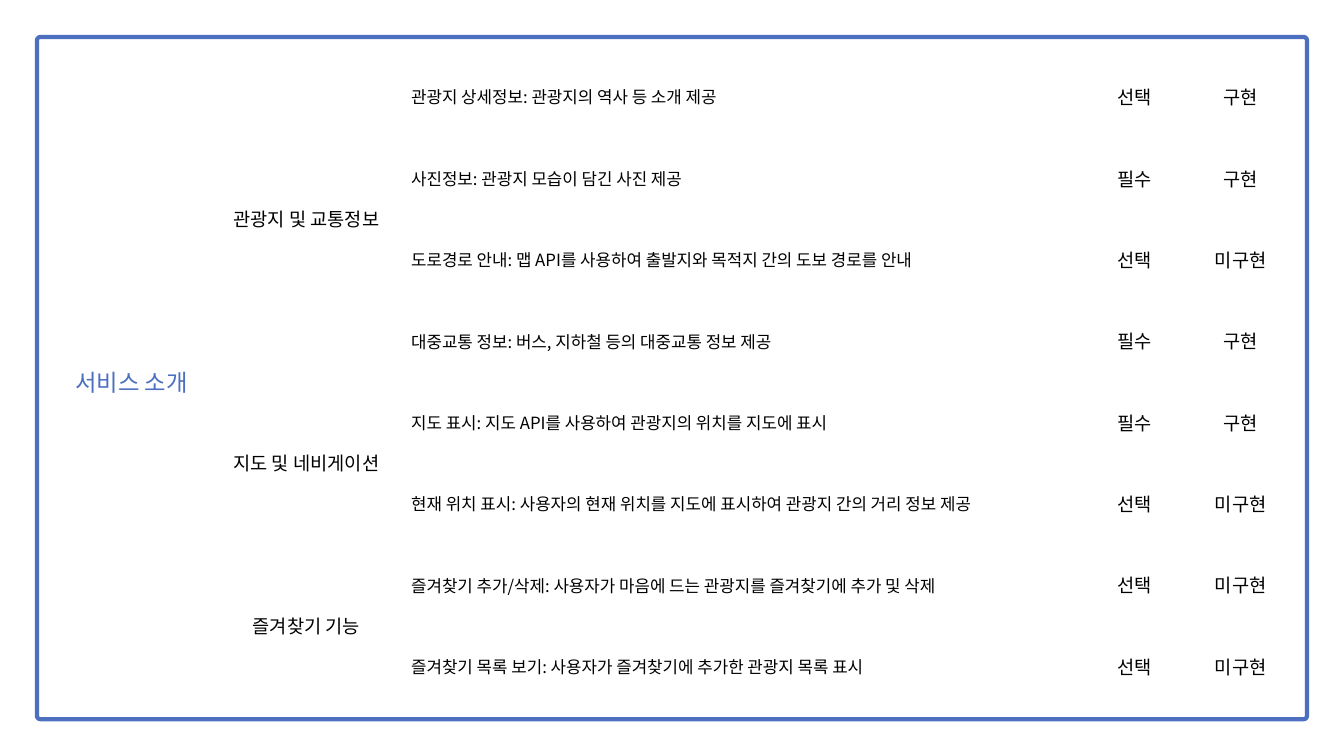
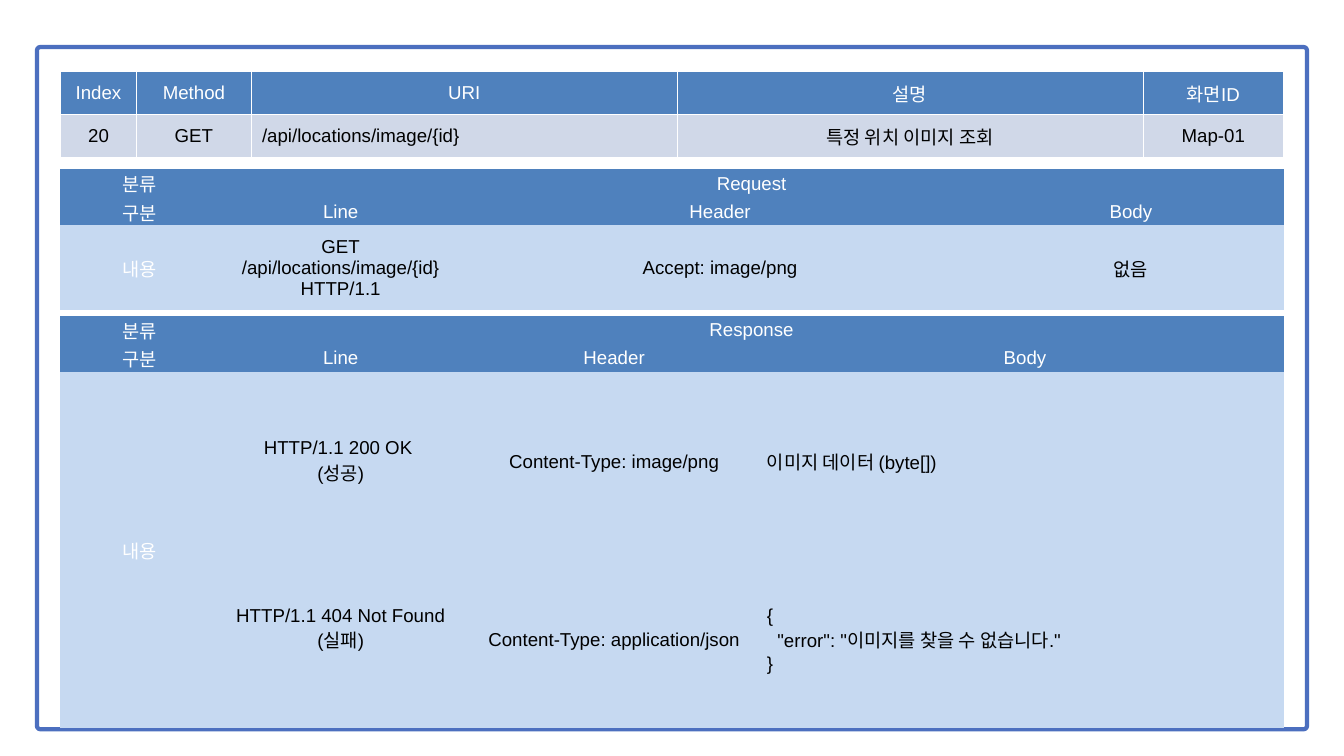
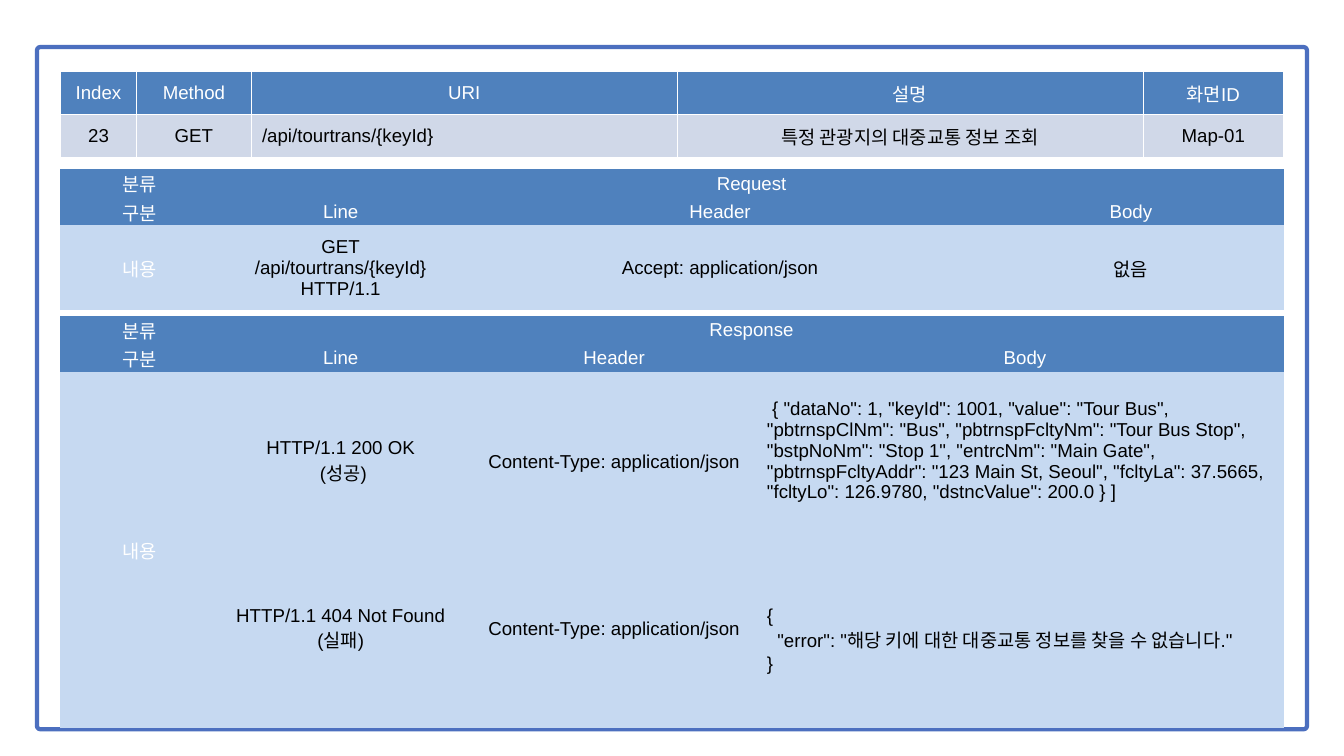
from lxml import etree
from pptx import Presentation
from pptx.dml.color import RGBColor
from pptx.enum.shapes import MSO_SHAPE
from pptx.enum.text import MSO_ANCHOR, PP_ALIGN
from pptx.oxml.ns import qn
from pptx.util import Pt

ROUND = MSO_SHAPE.ROUNDED_RECTANGLE
MIDDLE = MSO_ANCHOR.MIDDLE
LEFT, CENTER = PP_ALIGN.LEFT, PP_ALIGN.CENTER

BLUE, HEAD, PALE, GREY = "4C6FBF", "4F81BD", "C6D9F1", "D0D8E8"
WHITE, BLACK = "FFFFFF", "000000"
LATIN, KOREAN = "Arial", "Noto Sans CJK KR"
PLAIN_STYLE = "{2D5ABB26-0587-4C30-8999-92F81FD0307C}"

WIDE, HIGH = 1440, 810
FRAME_W, FRAME_H = 1360.8, 731
THIN = (1, 1, 1, 0)
ROOMY = (11.5, 5.8, 11.5, 5.8)
USUAL = (7.2, 3.6, 7.2, 3.6)
LINE = 23

SERVICES = [
    ("관광지 및 교통정보", [
        ("관광지 상세정보: 관광지의 역사 등 소개 제공", "선택", "구현"),
        ("사진정보: 관광지 모습이 담긴 사진 제공", "필수", "구현"),
        ("도로경로 안내: 맵 API를 사용하여 출발지와 목적지 간의 도보 경로를 안내", "선택", "미구현"),
        ("대중교통 정보: 버스, 지하철 등의 대중교통 정보 제공", "필수", "구현"),
    ]),
    ("지도 및 네비게이션", [
        ("지도 표시: 지도 API를 사용하여 관광지의 위치를 지도에 표시", "필수", "구현"),
        ("현재 위치 표시: 사용자의 현재 위치를 지도에 표시하여 관광지 간의 거리 정보 제공", "선택", "미구현"),
    ]),
    ("즐겨찾기 기능", [
        ("즐겨찾기 추가/삭제: 사용자가 마음에 드는 관광지를 즐겨찾기에 추가 및 삭제", "선택", "미구현"),
        ("즐겨찾기 목록 보기: 사용자가 즐겨찾기에 추가한 관광지 목록 표시", "선택", "미구현"),
    ]),
]

JSON = "application/json"
APIS = [
    dict(index="20", uri="/api/locations/image/{id}", about="특정 위치 이미지 조회",
         accept="image/png", good="HTTP/1.1 200 OK \n(성공)",
         body="이미지 데이터 (byte[])", error="이미지를 찾을 수 없습니다.", low=[(3, 1)]),
    dict(index="23", uri="/api/tourtrans/{keyId}", about="특정 관광지의 대중교통 정보 조회",
         accept=JSON, good="HTTP/1.1 200 OK\n (성공)",
         body=' { "dataNo": 1, "keyId": 1001, "value": "Tour Bus", "pbtrnspClNm": "Bus", '
              '"pbtrnspFcltyNm": "Tour Bus Stop", "bstpNoNm": "Stop 1", '
              '"entrcNm": "Main Gate", "pbtrnspFcltyAddr": "123 Main St, Seoul", '
              '"fcltyLa": 37.5665, "fcltyLo": 126.9780, "dstncValue": 200.0 } ]',
         error="해당 키에 대한 대중교통 정보를 찾을 수 없습니다.",
         low=[(2, 3), (3, 1), (3, 2)]),
]


def rgb(code):
    return RGBColor.from_string(code)


def write(cell, text, size=20, face=LATIN, color=BLACK, align=CENTER):
    """Fill a cell, one paragraph per line of text."""
    frame = cell.text_frame
    for i, line in enumerate(text.split("\n")):
        para = frame.add_paragraph() if i else frame.paragraphs[0]
        para.alignment = align
        run = para.add_run()
        run.text = line
        font = run.font
        font.size, font.name = Pt(size), face
        font.color.rgb = rgb(color)
        etree.SubElement(run._r.get_or_add_rPr(), qn("a:ea"), typeface=KOREAN)


def inset(cell, left, top, right, bottom):
    cell.margin_left, cell.margin_top = Pt(left), Pt(top)
    cell.margin_right, cell.margin_bottom = Pt(right), Pt(bottom)


def outline(cell, color, width):
    props = cell._tc.get_or_add_tcPr()
    for i, side in enumerate("LRTB"):
        edge = etree.Element(qn(f"a:ln{side}"), w=str(Pt(width)))
        fill = etree.SubElement(edge, qn("a:solidFill"))
        etree.SubElement(fill, qn("a:srgbClr"), val=color)
        props.insert(i, edge)


def add_grid(slide, left, top, cols, rows, pad):
    """Add an unstyled table with the given column widths and row heights."""
    shape = slide.shapes.add_table(len(rows), len(cols), Pt(left), Pt(top),
                                   Pt(sum(cols)), Pt(sum(rows)))
    table = shape.table
    table.first_row = table.horz_banding = False
    table._tbl.tblPr.find(qn("a:tableStyleId")).text = PLAIN_STYLE
    for col, width in zip(table.columns, cols):
        col.width = Pt(width)
    for row, height in zip(table.rows, rows):
        row.height = Pt(height)
    for cell in table.iter_cells():
        cell.vertical_anchor = MIDDLE
        inset(cell, *pad)
    return table


def fill_grid(table, texts, heads, pale, lefts=()):
    """Write rows of text; the first `heads` rows are dark, None is spanned."""
    for r, row in enumerate(texts):
        for c, text in enumerate(row):
            cell = table.cell(r, c)
            cell.fill.solid()
            cell.fill.fore_color.rgb = rgb(HEAD if r < heads else pale)
            if text is not None:
                white = r < heads or text == "내용"
                write(cell, text, color=WHITE if white else BLACK,
                      align=LEFT if (r, c) in lefts else CENTER)


def add_frame(slide, left, top):
    box = slide.shapes.add_shape(ROUND, Pt(left), Pt(top), Pt(FRAME_W), Pt(FRAME_H))
    box.adjustments[0] = 0.005
    box.shadow.inherit = False
    box.fill.solid()
    box.fill.fore_color.rgb = rgb(WHITE)
    box.line.color.rgb = rgb(BLUE)
    box.line.width = Pt(4.5)


def service_slide(slide, left, top):
    add_frame(slide, left, top)
    count = sum(len(items) for _, items in SERVICES)
    table = add_grid(slide, left + 18.7, top + 20.2,
                     [165, 210, 720, 124.5, 103], [87.2] * count, USUAL)
    table.cell(0, 0).merge(table.cell(count - 1, 0))
    write(table.cell(0, 0), "서비스 소개", 25, KOREAN, BLUE)
    r = 0
    for group, items in SERVICES:
        table.cell(r, 1).merge(table.cell(r + len(items) - 1, 1))
        write(table.cell(r, 1), group, face=KOREAN)
        for text, need, state in items:
            write(table.cell(r, 2), text, 18, KOREAN, align=LEFT)
            write(table.cell(r, 3), need, face=KOREAN)
            write(table.cell(r, 4), state, face=KOREAN)
            r += 1


def message_grid(slide, left, top, name, cols, rows, content, lefts=()):
    """Add a request or response table with its two heading rows."""
    table = add_grid(slide, left, top, cols, rows, THIN)
    table.cell(0, 1).merge(table.cell(0, 3))
    texts = [("분류", name, None, None), ("구분", "Line", "Header", "Body")]
    fill_grid(table, texts + content, 2, PALE, lefts)
    return table


def api_slide(slide, left, top, api):
    add_frame(slide, left, top)
    left += 25.2
    message_grid(slide, left, top + 131, "Request",
                 [170, 260.5, 552.5, 328], [18, 16.5, 90.7],
                 [("내용", f"GET\n{api['uri']} HTTP/1.1", f"Accept: {api['accept']}", "없음")])

    error = f'{{\n  "error": "{api["error"]}"\n}}'
    reply = message_grid(
        slide, left, top + 288, "Response",
        [170, 260.5, 325.5, 555], [24, 24, 191, 191],
        [("내용", api["good"], f"Content-Type: {api['accept']}", api["body"]),
         (None, "HTTP/1.1 404 Not Found (실패)", f"Content-Type: {JSON}", error)],
        [(2, 3), (3, 3)])
    reply.cell(2, 0).merge(reply.cell(3, 0))
    for r, c in api["low"]:
        reply.cell(r, c).margin_bottom = Pt(LINE)

    index = add_grid(slide, left, top + 26.6,
                     [81.5, 123, 456, 499.5, 150.5], [46, 46], ROOMY)
    fill_grid(index, [("Index", "Method", "URI", "설명", "화면ID"),
                      (api["index"], "GET", api["uri"], api["about"], "Map-01")],
              1, GREY, [(1, 2)])
    for cell in index.iter_cells():
        outline(cell, WHITE, 1)


def main():
    deck = Presentation()
    deck.slide_width, deck.slide_height = Pt(WIDE), Pt(HIGH)
    blank = deck.slide_layouts[6]
    left = (WIDE - FRAME_W) / 2
    service_slide(deck.slides.add_slide(blank), left, 39.6)
    for api in APIS:
        api_slide(deck.slides.add_slide(blank), left, 50.4, api)
    deck.save("out.pptx")


if __name__ == "__main__":
    main()
